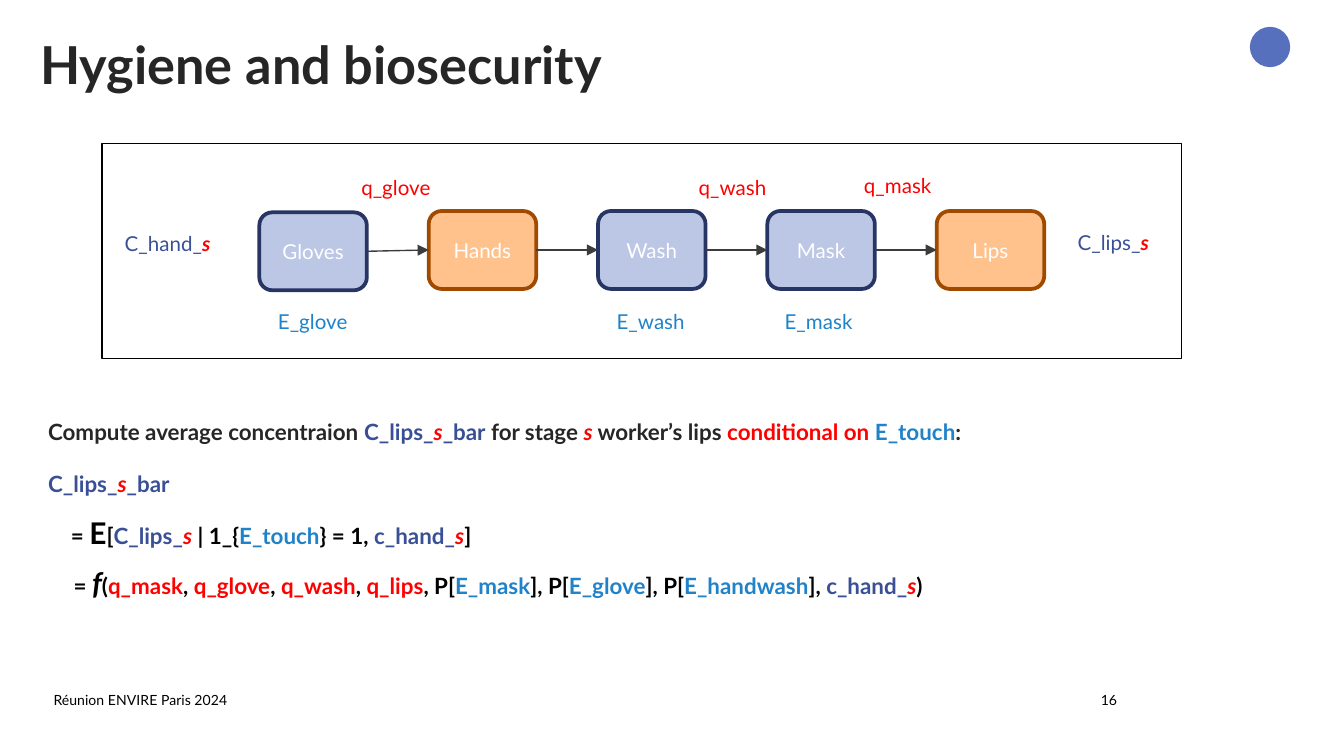
"""Build the hygiene and biosecurity slide with its transfer chain and formulas."""
from dataclasses import dataclass, replace
from itertools import pairwise

from lxml.etree import SubElement
from pptx import Presentation
from pptx.dml.color import RGBColor
from pptx.enum.shapes import MSO_CONNECTOR, MSO_SHAPE
from pptx.enum.text import MSO_ANCHOR, MSO_AUTO_SIZE, PP_ALIGN
from pptx.oxml.ns import qn
from pptx.shapes.autoshape import Shape
from pptx.slide import Slide
from pptx.util import Inches, Pt

FONT = "Lato"
BLACK, WHITE, DARK, GREY = "000000", "FFFFFF", "262626", "3C3C3C"
RED, BLUE, NAVY = "FF0000", "2082C8", "3A5096"
STEP_LEFT, STEP_PITCH, STEP_WIDTH, STEP_HEIGHT = 1.93, 1.26, 0.8, 0.58


@dataclass(frozen=True)
class Span:
    text: str
    color: str = BLACK
    size: float = 12
    bold: bool = True
    italic: bool = False


@dataclass(frozen=True)
class Area:
    left: float
    top: float
    width: float
    height: float


@dataclass(frozen=True)
class Step:
    name: str
    fill: str
    line: str
    top: float = 1.57


@dataclass(frozen=True)
class Label:
    spans: list[Span]
    left: float
    top: float
    width: float = 0.9


def rgb(value: str) -> RGBColor:
    return RGBColor.from_string(value)


def write(para, spans: list[Span]) -> None:
    for span in spans:
        run = para.add_run()
        run.text = span.text
        font = run.font
        font.name, font.size = FONT, Pt(span.size)
        font.bold, font.italic = span.bold, span.italic
        font.color.rgb = rgb(span.color)


def place(shape: Shape, area: Area) -> None:
    shape.left, shape.top = Inches(area.left), Inches(area.top)
    shape.width, shape.height = Inches(area.width), Inches(area.height)


def add_text(slide: Slide, area: Area, lines: list[list[Span]], spacing: float = 1.0,
             align: PP_ALIGN = PP_ALIGN.LEFT) -> Shape:
    box = slide.shapes.add_textbox(0, 0, 0, 0)
    place(box, area)
    frame = box.text_frame
    frame.word_wrap = True
    for index, spans in enumerate(lines):
        para = frame.add_paragraph() if index else frame.paragraphs[0]
        para.alignment, para.line_spacing = align, spacing
        write(para, spans)
    return box


def add_box(slide: Slide, kind: MSO_SHAPE, area: Area, fill: str | None,
            line: str | None, weight: float = 0.75) -> Shape:
    box = slide.shapes.add_shape(kind, 0, 0, 0, 0)
    place(box, area)
    box.shadow.inherit = False
    if fill:
        box.fill.solid()
        box.fill.fore_color.rgb = rgb(fill)
    else:
        box.fill.background()
    if line:
        box.line.color.rgb = rgb(line)
        box.line.width = Pt(weight)
    else:
        box.line.fill.background()
    return box


def add_step(slide: Slide, step: Step, index: int) -> Shape:
    area = Area(STEP_LEFT + index * STEP_PITCH, step.top, STEP_WIDTH, STEP_HEIGHT)
    box = add_box(slide, MSO_SHAPE.ROUNDED_RECTANGLE, area, step.fill, step.line, 2)
    frame = box.text_frame
    frame.vertical_anchor = MSO_ANCHOR.MIDDLE
    frame.paragraphs[0].alignment = PP_ALIGN.CENTER
    write(frame.paragraphs[0], [Span(step.name, WHITE, 11, False)])
    return box


def add_arrow(slide: Slide, source: Shape, target: Shape) -> None:
    arrow = slide.shapes.add_connector(MSO_CONNECTOR.STRAIGHT, 0, 0, 0, 0)
    arrow.begin_connect(source, 3)
    arrow.end_connect(target, 1)
    arrow.line.color.rgb = rgb(GREY)
    arrow.line.width = Pt(0.75)
    SubElement(arrow.line._get_or_add_ln(), qn("a:tailEnd"), type="triangle")
    SubElement(arrow._element.spPr, qn("a:effectLst"))


def add_title(slide: Slide, text: str) -> None:
    title = slide.shapes.title
    place(title, Area(0.3, 0.29, 8.92, 0.7))
    frame = title.text_frame
    frame.auto_size, frame.vertical_anchor = MSO_AUTO_SIZE.NONE, MSO_ANCHOR.TOP
    frame.margin_left = frame.margin_right = frame.margin_top = frame.margin_bottom = 0
    para = frame.paragraphs[0]
    para.alignment, para.line_spacing = PP_ALIGN.LEFT, 0.9
    write(para, [Span(text, DARK, 28)])


def staged(prefix: str) -> list[Span]:
    return [Span(prefix, NAVY), Span("s", RED, italic=True)]


def small(span: Span) -> Span:
    return replace(span, size=11, bold=span.italic)


def chain_labels() -> list[Label]:
    return [
        Label([Span("q_glove", RED)], 2.59, 1.25),
        Label([Span("q_wash", RED)], 5.1, 1.25),
        Label([Span("q_mask", RED)], 6.33, 1.24),
        Label([Span("E_glove", BLUE)], 1.97, 2.25),
        Label([Span("E_wash", BLUE)], 4.49, 2.25),
        Label([Span("E_mask", BLUE)], 5.74, 2.25),
        Label(staged("C_hand_"), 0.83, 1.67, 0.94),
        Label(staged("C_lips_"), 7.92, 1.66, 1.18),
    ]


def function_line() -> list[Span]:
    spans = [Span("= "), Span("f", size=16, italic=True), Span("(")]
    for name in ("q_mask", "q_glove", "q_wash", "q_lips"):
        spans += [Span(name, RED), Span(", ")]
    for name in ("E_mask", "E_glove", "E_handwash"):
        spans += [Span("P["), Span(name, BLUE), Span("], ")]
    return [*spans, *staged("c_hand_"), Span(")")]


def add_chain(slide: Slide) -> None:
    add_box(slide, MSO_SHAPE.RECTANGLE, Area(0.76, 1.07, 8.03, 1.6), None, BLACK)
    barrier, surface = ("BCC6E5", "273564"), ("FFC28C", "A04A00")
    steps = [Step("Gloves", *barrier, top=1.58), Step("Hands", *surface),
             Step("Wash", *barrier), Step("Mask", *barrier), Step("Lips", *surface)]
    boxes = [add_step(slide, step, index) for index, step in enumerate(steps)]
    for source, target in pairwise(boxes):
        add_arrow(slide, source, target)
    for label in chain_labels():
        area = Area(label.left, label.top, label.width, 0.29)
        add_text(slide, area, [[small(span) for span in label.spans]])


def add_formulas(slide: Slide) -> None:
    mean = [*staged("C_lips_"), Span("_bar", NAVY)]
    task = [Span("Compute average concentraion ", DARK), *mean, Span(" for stage ", DARK),
            Span("s ", RED, italic=True), Span("worker’s lips ", DARK),
            Span("conditional on ", RED), Span("E_touch", BLUE), Span(":", DARK)]
    expectation = [Span("= "), Span("E", size=16), Span("["), *staged("C_lips_"),
                   Span(" | 1_{"), Span("E_touch", BLUE), Span("} = 1, "),
                   *staged("c_hand_"), Span("]")]
    add_text(slide, Area(0.26, 3.06, 9.03, 0.3), [task])
    definition = add_text(slide, Area(0.26, 3.35, 9.03, 0.8), [mean, expectation], 1.5)
    properties = definition.text_frame.paragraphs[1]._p.get_or_add_pPr()
    properties.set("marL", str(Inches(0.17)))
    add_text(slide, Area(0.45, 4.15, 9.03, 0.37), [function_line()])


def main() -> None:
    deck = Presentation()
    deck.slide_width, deck.slide_height = Inches(10), Inches(10) * 9 // 16
    page = deck.slides.add_slide(deck.slide_layouts[5])
    add_title(page, "Hygiene and biosecurity")
    add_box(page, MSO_SHAPE.OVAL, Area(9.3, 0.2, 0.3, 0.3), "5770BE", None)
    add_chain(page)
    add_formulas(page)
    add_text(page, Area(0.3, 5.1, 3.38, 0.23), [[Span("Réunion ENVIRE Paris 2024", BLACK, 7.5, False)]])
    add_text(page, Area(6.93, 5.1, 1.48, 0.23), [[Span("16", BLACK, 7.5, False)]], align=PP_ALIGN.RIGHT)
    deck.save("out.pptx")


if __name__ == "__main__":
    main()
